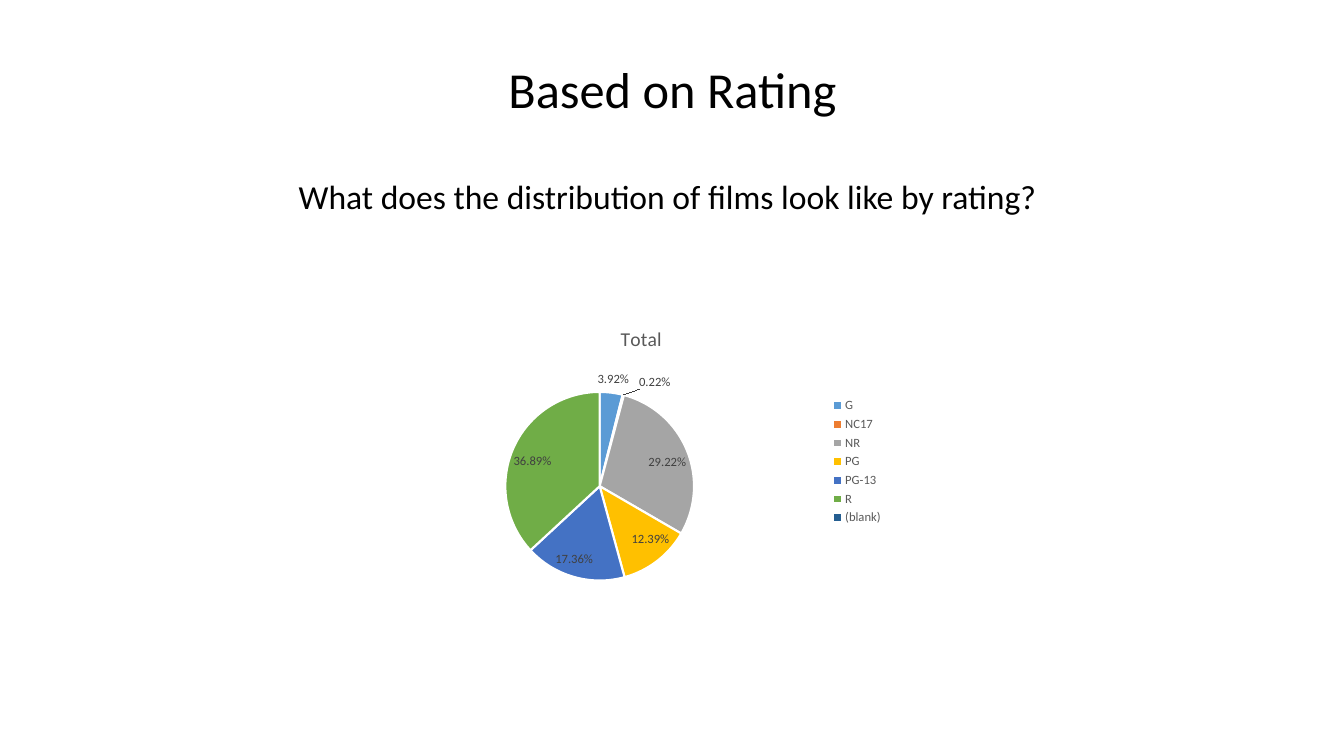
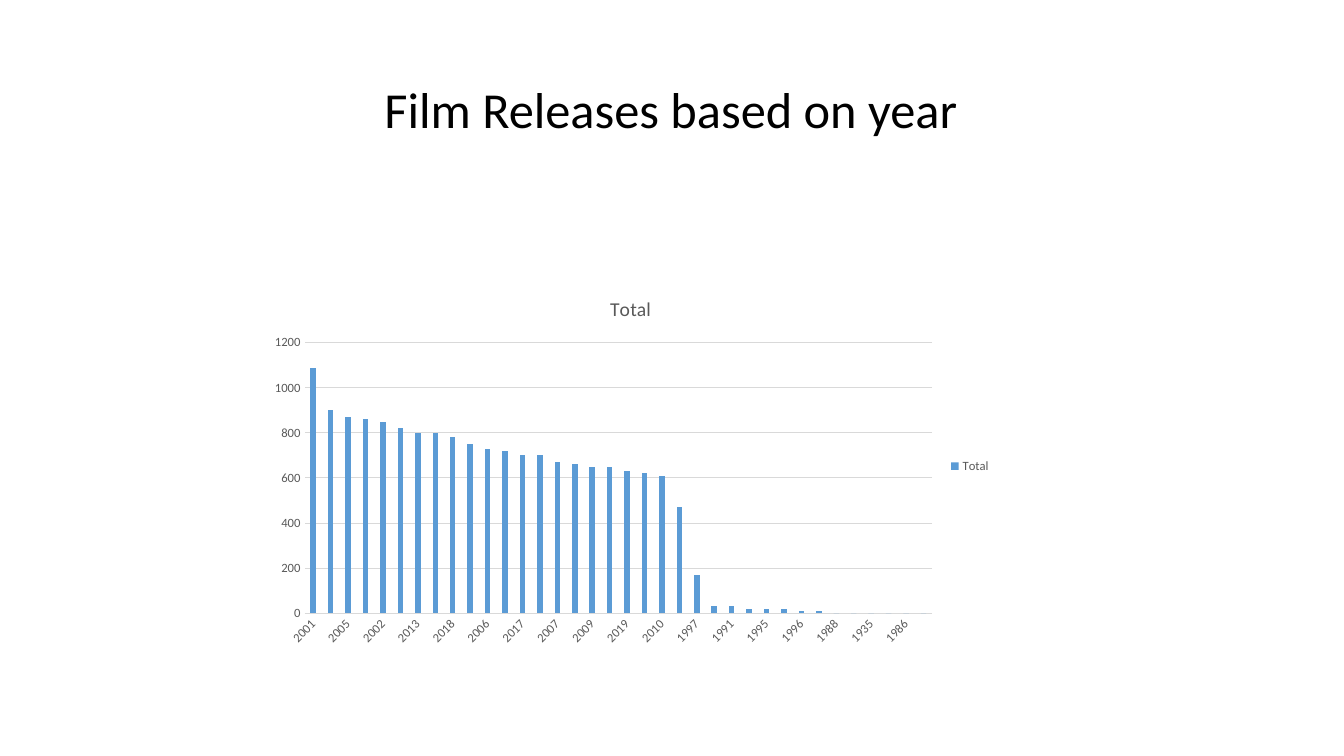
import pptx
import pptx.util
import pptx.chart.data
import pptx.dml.color
import pptx.enum.chart
import pptx.enum.text

PX = 9144
FONT = "Calibri"
INK = {"text": "000000", "grey": "595959", "label": "404040", "grid": "D9D9D9",
       "white": "FFFFFF", "blue": "5B9BD5", "orange": "ED7D31", "silver": "A5A5A5",
       "gold": "FFC000", "royal": "4472C4", "green": "70AD47", "navy": "255E91"}
Kind = pptx.enum.chart.XL_CHART_TYPE
Anchor = pptx.enum.text.MSO_ANCHOR


def style(font, size, ink):
    font.name = FONT
    font.size = pptx.util.Pt(size)
    font.bold = False
    font.color.rgb = pptx.dml.color.RGBColor.from_string(INK[ink])


def write(slide, text, box, size, anchor=Anchor.TOP):
    shape = slide.shapes.add_textbox(*[n * PX for n in box])
    frame = shape.text_frame
    frame.word_wrap = True
    frame.vertical_anchor = anchor
    para = frame.paragraphs[0]
    para.text = text
    para.alignment = pptx.enum.text.PP_ALIGN.CENTER
    para.line_spacing = 0.9
    style(para.runs[0].font, size, "text")


deck = pptx.Presentation()
deck.slide_width = 1333 * PX
deck.slide_height = 750 * PX

rates = {"G": 0.0392, "NC17": 0.0022, "NR": 0.2922, "PG": 0.1239,
         "PG-13": 0.1736, "R": 0.3689, "(blank)": None}
years = {"2001": 1090, "2003": 900, "2005": 870, "2004": 860, "2002": 850,
         "2014": 820, "2013": 800, "2015": 800, "2018": 780, "2000": 750,
         "2006": 730, "2016": 720, "2017": 700, "2012": 700, "2007": 670,
         "2008": 660, "2009": 650, "2011": 650, "2019": 630, "1999": 620,
         "2010": 610, "1998": 470, "1997": 170, "1992": 30, "1991": 30,
         "1994": 20, "1995": 20, "1993": 20, "1996": 10, "1990": 10,
         "1988": 0, "<06-06-1935": 0, "1935": 0, "1989": 0, "1986": 0, "1987": 0}

slides = []
charts = []
for kind, box, data in [
    (Kind.PIE, (386, 308, 500, 300), rates),
    (Kind.COLUMN_CLUSTERED, (258, 277, 735, 371), years),
]:
    slide = deck.slides.add_slide(deck.slide_layouts[6])
    table = pptx.chart.data.CategoryChartData()
    table.categories = list(data)
    table.add_series("Total", list(data.values()))
    chart = slide.shapes.add_chart(kind, *[n * PX for n in box], table).chart
    style(chart.font, 10, "text")
    chart.has_title = True
    chart.chart_title.text_frame.text = "Total"
    style(chart.chart_title.text_frame.paragraphs[0].runs[0].font, 14, "grey")
    chart.has_legend = True
    chart.legend.position = pptx.enum.chart.XL_LEGEND_POSITION.RIGHT
    chart.legend.include_in_layout = False
    style(chart.legend.font, 9, "grey")
    slides.append(slide)
    charts.append(chart)

write(slides[0], "Based on Rating", (167, 35, 1000, 88), 36, Anchor.BOTTOM)
write(slides[0], "What does the distribution of films look like by rating?",
      (162, 174, 1000, 60), 24)
write(slides[1], "Film Releases based on year", (164, 79, 1003, 80), 36)

pie, bars = [chart.plots[0] for chart in charts]

pie.vary_by_categories = True
hues = ["blue", "orange", "silver", "gold", "royal", "green", "navy"]
for spot, hue in enumerate(hues):
    form = pie.series[0].points[spot].format
    form.fill.solid()
    form.fill.fore_color.rgb = pptx.dml.color.RGBColor.from_string(INK[hue])
    form.line.color.rgb = pptx.dml.color.RGBColor.from_string(INK["white"])
    form.line.width = pptx.util.Pt(1.5)
pie.has_data_labels = True
labels = pie.data_labels
labels.show_value = True
labels.show_percentage = False
labels.number_format = "0.00%"
labels.number_format_is_linked = False
labels.position = pptx.enum.chart.XL_LABEL_POSITION.BEST_FIT
style(labels.font, 9, "label")

bars.vary_by_categories = False
bars.gap_width = 219
bars.overlap = -27
fill = bars.series[0].format.fill
fill.solid()
fill.fore_color.rgb = pptx.dml.color.RGBColor.from_string(INK["blue"])

across, up = charts[1].category_axis, charts[1].value_axis
for axis in (across, up):
    axis.major_tick_mark = pptx.enum.chart.XL_TICK_MARK.NONE
    axis.minor_tick_mark = pptx.enum.chart.XL_TICK_MARK.NONE
    style(axis.tick_labels.font, 9, "grey")
across.has_major_gridlines = False
up.has_major_gridlines = True
up.minimum_scale = 0
up.maximum_scale = 1200
up.major_unit = 200
up.format.line.fill.background()
for line in (across.format.line, up.major_gridlines.format.line):
    line.color.rgb = pptx.dml.color.RGBColor.from_string(INK["grid"])
    line.width = pptx.util.Pt(0.75)
turn = across._element.find(".//" + pptx.oxml.ns.qn("a:bodyPr"))
turn.set("rot", "-2700000")
turn.set("vert", "horz")

deck.save("out.pptx")
